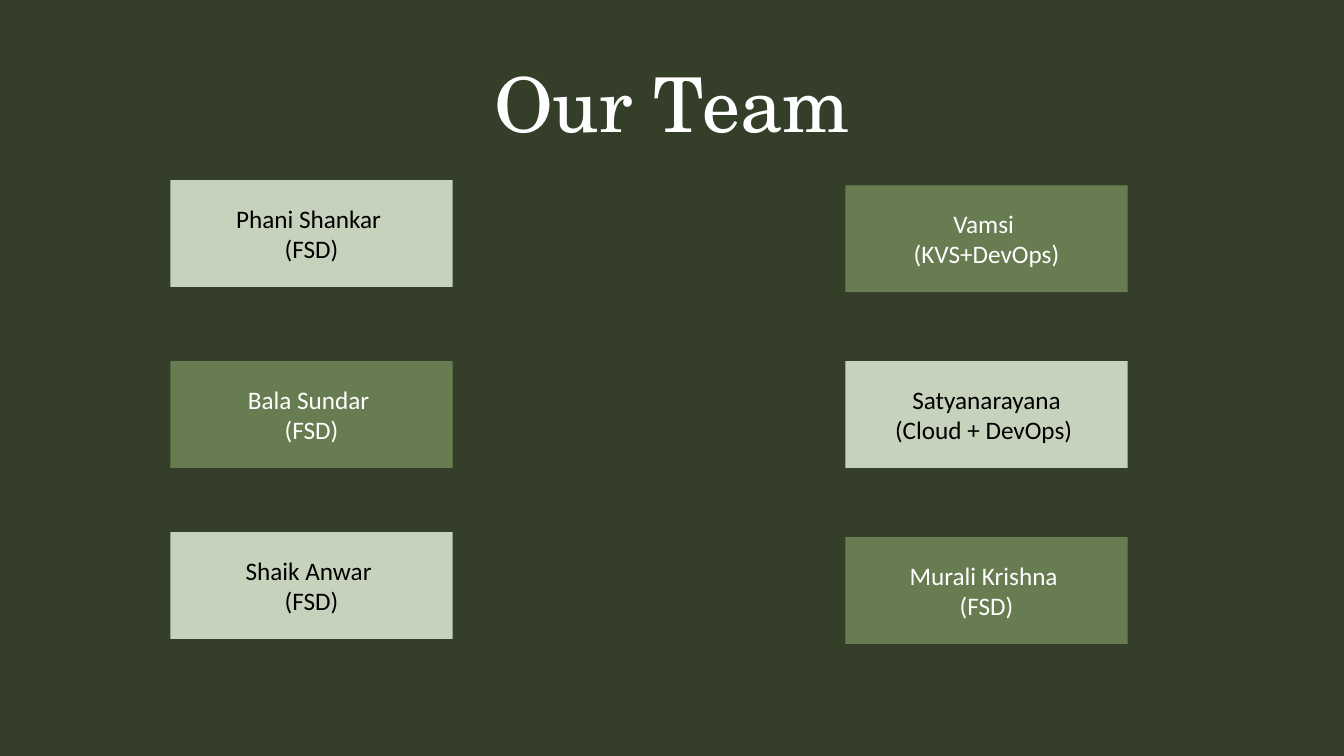
from dataclasses import dataclass

import pptx
import pptx.util
import pptx.dml.color
import pptx.enum.shapes
import pptx.enum.text
from pptx.util import Pt


@dataclass(frozen=True)
class Theme:
    background: str = "343E29"
    dark_card: str = "687C51"
    light_card: str = "C7D2BC"
    light_text: str = "FFFFFF"
    dark_text: str = "000000"
    title_font: str = "TeX Gyre Schola"
    body_font: str = "Calibri"
    title_size: int = 54
    body_size: int = 18


theme = Theme()


def color(value):
    return pptx.dml.color.RGBColor.from_string(value)


def write_centered(shape, text, font_name, size, text_color, anchor):
    frame = shape.text_frame
    frame.text = text
    frame.word_wrap = True
    frame.auto_size = pptx.enum.text.MSO_AUTO_SIZE.NONE
    frame.vertical_anchor = anchor
    for paragraph in frame.paragraphs:
        paragraph.alignment = pptx.enum.text.PP_ALIGN.CENTER
        for run in paragraph.runs:
            run.font.name = font_name
            run.font.size = Pt(size)
            run.font.color.rgb = color(text_color)


presentation = pptx.Presentation()
presentation.slide_width = Pt(960)
presentation.slide_height = Pt(540)
slide = presentation.slides.add_slide(presentation.slide_layouts[5])
slide.background.fill.solid()
slide.background.fill.fore_color.rgb = color(theme.background)

title = slide.shapes.title
title.left, title.top, title.width, title.height = Pt(280), Pt(36.7), Pt(399.6), Pt(72.7)
write_centered(title, "Our Team", theme.title_font, theme.title_size,
               theme.light_text, pptx.enum.text.MSO_ANCHOR.TOP)

# Each column: left edge, then (top, name, role) for each member.
card_width, card_height = 201.6, 76.3
team_columns = [
    (121.7, [(128.7, "Phani Shankar ", "(FSD)"),
             (258, "Bala Sundar ", "(FSD)"),
             (380.1, "Shaik Anwar ", "(FSD)")]),
    (603.9, [(132.4, "Vamsi ", "(KVS+DevOps)"),
             (258, "Satyanarayana", "(Cloud + DevOps) "),
             (383.7, "Murali Krishna ", "(FSD)")]),
]

for column, (left, members) in enumerate(team_columns):
    for row, (top, name, role) in enumerate(members):
        card = slide.shapes.add_shape(
            pptx.enum.shapes.MSO_SHAPE.RECTANGLE,
            Pt(left), Pt(top), Pt(card_width), Pt(card_height))
        is_light = (column + row) % 2 == 0
        card.shadow.inherit = False
        card.line.fill.background()
        card.fill.solid()
        card.fill.fore_color.rgb = color(theme.light_card if is_light else theme.dark_card)
        write_centered(card, f"{name}\n{role}", theme.body_font, theme.body_size,
                       theme.dark_text if is_light else theme.light_text,
                       pptx.enum.text.MSO_ANCHOR.MIDDLE)

presentation.save("out.pptx")
